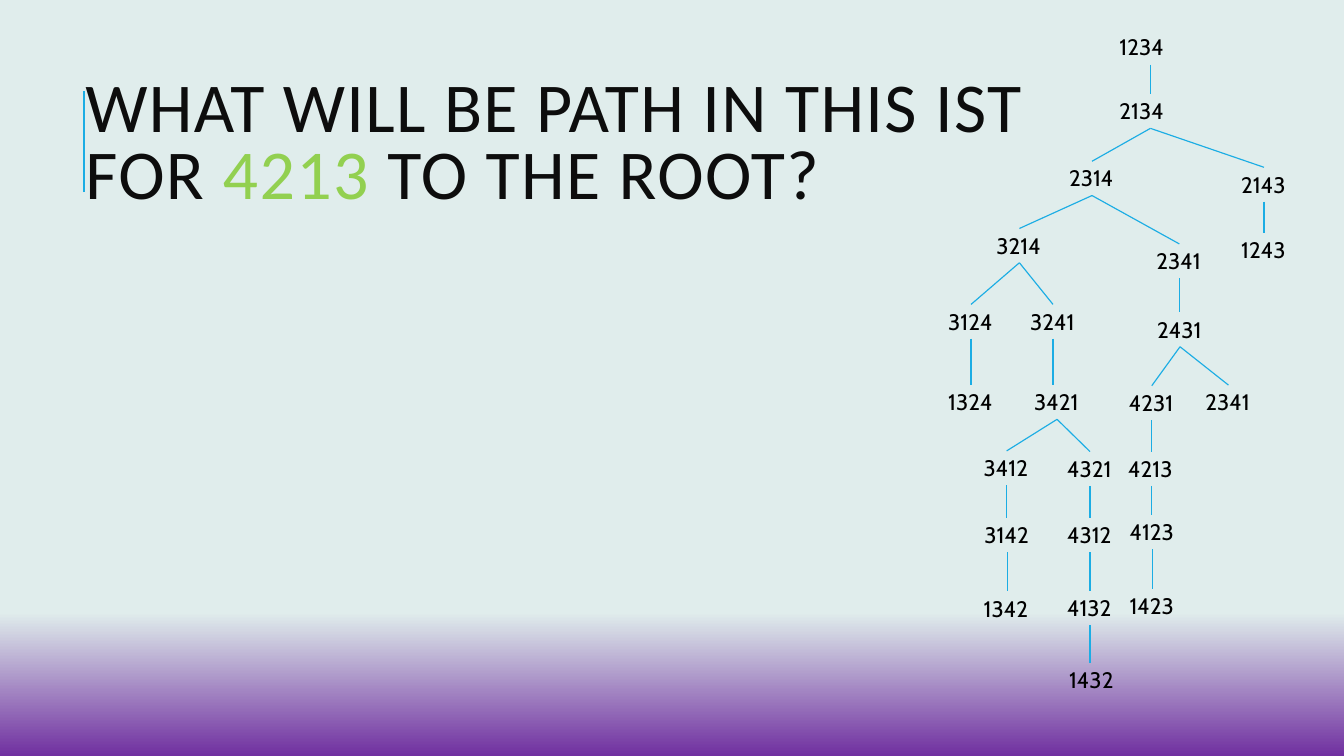
import dataclasses

import pptx
import pptx.dml.color
import pptx.enum.shapes
import pptx.enum.text
import pptx.oxml.ns
import pptx.util
from lxml import etree

SCALE = 9144
LABEL_HEIGHT = 51
BLUE = "1CADE4"


@dataclasses.dataclass
class Node:
    """A permutation in the tree, placed relative to the tree box."""
    label: str
    left: int
    top: int
    children: tuple = ()
    width: int = 88

    @property
    def centre(self):
        """Return the horizontal middle of the label."""
        return self.left + self.width // 2


TREE = Node("1234", 255, 0, (
    Node("2134", 255, 95, (
        Node("2314", 180, 195, (
            Node("3214", 72, 295, (
                Node("3124", 0, 408, (Node("1324", 0, 528),)),
                Node("3241", 122, 408, (
                    Node("3421", 128, 528, (
                        Node("3412", 53, 626, (
                            Node("3142", 54, 726, (Node("1342", 53, 835),)),)),
                        Node("4321", 177, 627, (
                            Node("4312", 177, 726, (
                                Node("4132", 177, 834, (Node("1432", 180, 942),)),)),)),
                    )),)),
            )),
            Node("2341", 310, 318, (
                Node("2431", 311, 420, (
                    Node("4231", 269, 529, (
                        Node("4213", 268, 627, (
                            Node("4123", 270, 721, (Node("1423", 270, 831),)),)),)),
                    Node("2341", 383, 528),
                )),)),
        )),
        Node("2143", 436, 204, (Node("1243", 436, 302),)),
    ), 112),
), 112)


def px(length):
    """Turn px into EMU."""
    return pptx.util.Emu(length * SCALE)


def colour(value):
    """Turn a hex string into a colour."""
    return pptx.dml.color.RGBColor.from_string(value)


def add_line(page, start, end, width):
    """Draw a straight blue line without a shadow."""
    line = page.shapes.add_connector(
        pptx.enum.shapes.MSO_CONNECTOR.STRAIGHT, *map(px, (*start, *end)))
    line.line.color.rgb = colour(BLUE)
    line.line.width = pptx.util.Pt(width)
    etree.SubElement(line._element.spPr, pptx.oxml.ns.qn("a:effectLst"))


def paint_background(page):
    """Fill the page with a gradient that turns purple at the bottom."""
    fill = page.background.fill
    fill.gradient()
    fill.gradient_angle = 270
    for stop, position, value in zip(fill.gradient_stops, (0.81, 1), ("E0EDEC", "7030A0")):
        stop.position = position
        stop.color.rgb = colour(value)


def add_title(page, left, top, width, height):
    """Write the question with its accent line."""
    add_line(page, (left + 8, top + 192), (left + 8, top + 42), 1.5)
    title = page.shapes.title
    title.left, title.top, title.width, title.height = map(px, (left, top, width, height))
    frame = title.text_frame
    frame.word_wrap = True
    frame.auto_size = pptx.enum.text.MSO_AUTO_SIZE.NONE
    frame.vertical_anchor = pptx.enum.text.MSO_ANCHOR.MIDDLE
    para = frame.paragraphs[0]
    para.alignment = pptx.enum.text.PP_ALIGN.LEFT
    para.line_spacing = 0.8
    para.font.size = pptx.util.Pt(75)
    para.font.name = "Calibri"
    for text, value in (("WHAT WILL BE PATH IN THIS IST FOR ", "0D0D0D"),
                        ("4213", "92D050"),
                        (" TO THE ROOT?", "0D0D0D")):
        span = para.add_run()
        span.text = text
        span.font.color.rgb = colour(value)
        span.font._element.set("spc", "150")


def add_tree(page, left, top, node):
    """Draw a node, its branches and everything below it."""
    box = page.shapes.add_textbox(
        px(left + node.left), px(top + node.top), px(node.width), px(LABEL_HEIGHT))
    box.text_frame.word_wrap = True
    para = box.text_frame.paragraphs[0]
    para.text = node.label
    para.font.size = pptx.util.Pt(24)
    para.font.name = "Cabin"
    para.font.color.rgb = colour("000000")
    for child in node.children:
        target = node.centre if len(node.children) == 1 else child.centre
        add_line(page, (left + node.centre, top + node.top + LABEL_HEIGHT),
                 (left + target, top + child.top), 1.25)
        add_tree(page, left, top, child)


def main():
    """Build and save the slide."""
    deck = pptx.Presentation()
    deck.slide_width, deck.slide_height = px(2000), px(1125)
    page = deck.slides.add_slide(deck.slide_layouts.get_by_name("Title Only"))
    paint_background(page)
    add_title(page, 117, 94, 1595, 246)
    add_tree(page, 1401, 45, TREE)
    deck.save("out.pptx")


if __name__ == "__main__":
    main()
